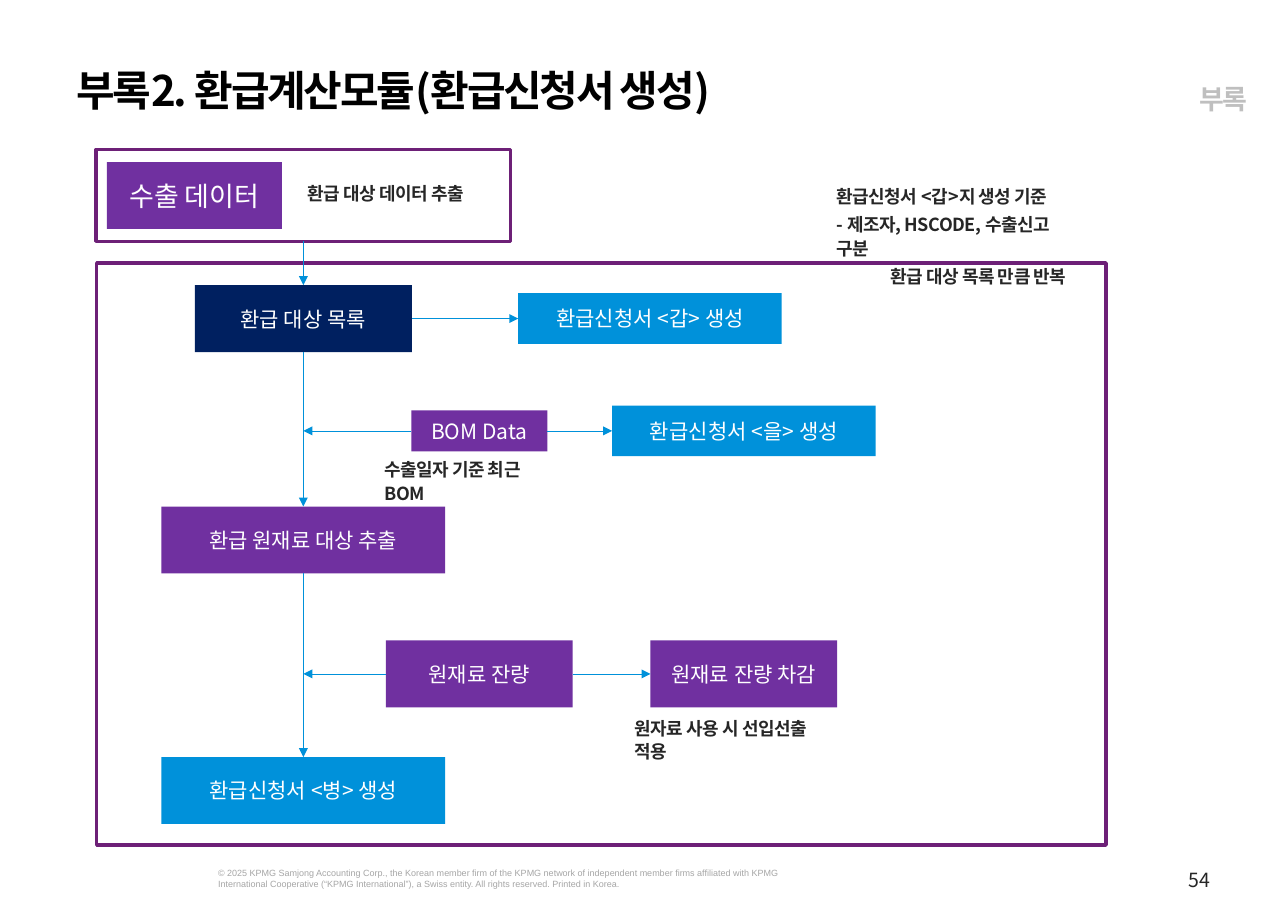
import pptx
import pptx.util
import pptx.dml.color
import pptx.enum.shapes
import pptx.enum.text
import pptx.oxml
import pptx.oxml.ns

Inches, Pt = pptx.util.Inches, pptx.util.Pt
ALIGN, ANCHOR = pptx.enum.text.PP_ALIGN, pptx.enum.text.MSO_ANCHOR
KOREAN = "Noto Sans CJK KR"
PURPLE, NAVY, BLUE, FRAME = "7030A0", "002060", "0091DA", "6D2077"
WHITE, INK = "FFFFFF", "262626"


def color(value):
    return pptx.dml.color.RGBColor.from_string(value)


def write(box, lines, size, ink, face=KOREAN, bold=False, tracking=0, align=ALIGN.LEFT,
          anchor=ANCHOR.TOP, margins=(0, 0, 0, 0), spacing=1.0, after=0):
    frame = box.text_frame
    sides = ("margin_left", "margin_top", "margin_right", "margin_bottom")
    settings = dict(zip(sides, map(Inches, margins)), word_wrap=True, vertical_anchor=anchor,
                    auto_size=pptx.enum.text.MSO_AUTO_SIZE.NONE)
    for name, value in settings.items():
        setattr(frame, name, value)
    for index, line in enumerate(lines):
        para = frame.add_paragraph() if index else frame.paragraphs[0]
        layout = {"alignment": align, "line_spacing": spacing,
                  "space_before": Pt(0), "space_after": Pt(after)}
        for name, value in layout.items():
            setattr(para, name, value)
        span = para.add_run()
        span.text = line
        for name, value in {"size": Pt(size), "bold": bold, "name": face}.items():
            setattr(span.font, name, value)
        span.font.color.rgb = color(ink)
        # East Asian typeface and letter spacing
        properties = span.font._element
        properties.set("spc", str(round(tracking * 100)))
        east_asian = pptx.oxml.parse_xml(
            f'<a:ea {pptx.oxml.ns.nsdecls("a")} typeface="{face}"/>')
        properties.find(pptx.oxml.ns.qn("a:latin")).addnext(east_asian)


deck = pptx.Presentation()
deck.slide_width, deck.slide_height = Inches(11.93), Inches(8.5)
page = deck.slides.add_slide(deck.slide_layouts[5])

# Title
title = page.shapes.title
for side, value in {"left": 0.71, "top": 0.6, "width": 10.49, "height": 0.47}.items():
    setattr(title, side, Inches(value))
write(title, ["부록2. 환급계산모듈(환급신청서 생성)"], 28, "000000",
      bold=True, tracking=-1.5, after=6)

# Rows and columns of the flow, as box centres
TRUNK = 2.81
LIST_ROW, BOM_ROW, MATERIAL_ROW, STOCK_ROW, RESULT_ROW = 2.95, 3.99, 5.0, 6.24, 7.32

# Boxes: name, label, centre x, centre y, width, height, fill, text size
boxes = [
    ("process", None, 5.57, 5.13, 9.35, 5.39, None, 0),
    ("source", None, TRUNK, 1.81, 3.84, 0.85, None, 0),
    ("export", "수출 데이터", 1.8, 1.81, 1.62, 0.62, PURPLE, 18),
    ("list", "환급 대상 목록", TRUNK, LIST_ROW, 2.01, 0.62, NAVY, 14),
    ("form_a", "환급신청서 <갑> 생성", 6.02, LIST_ROW, 2.44, 0.47, BLUE, 14),
    ("bom", "BOM Data", 4.44, BOM_ROW, 1.26, 0.38, PURPLE, 14),
    ("form_b", "환급신청서 <을> 생성", 6.89, BOM_ROW, 2.44, 0.47, BLUE, 14),
    ("material", "환급 원재료 대상 추출", TRUNK, MATERIAL_ROW, 2.63, 0.62, PURPLE, 14),
    ("stock", "원재료 잔량", 4.44, STOCK_ROW, 1.73, 0.62, PURPLE, 14),
    ("deduction", "원재료 잔량 차감", 6.89, STOCK_ROW, 1.73, 0.62, PURPLE, 14),
    ("form_c", "환급신청서 <병> 생성", TRUNK, RESULT_ROW, 2.63, 0.62, BLUE, 14),
]
shapes = {}
for name, label, x, y, width, height, fill, size in boxes:
    box = page.shapes.add_shape(
        pptx.enum.shapes.MSO_SHAPE.RECTANGLE, Inches(x - width / 2), Inches(y - height / 2),
        Inches(width), Inches(height))
    box.shadow.inherit = False
    box.fill.solid()
    box.fill.fore_color.rgb = color(fill or WHITE)
    if label:
        box.line.fill.background()
        write(box, [label], size, WHITE, align=ALIGN.CENTER, anchor=ANCHOR.MIDDLE,
              margins=(0.1, 0.05, 0.1, 0.05))
    else:
        box.line.color.rgb = color(FRAME)
        box.line.width = Pt(2.25)
    shapes[name] = box

# Arrows: start box and side, end box and side; no end box means the trunk line
TOP, LEFT, BOTTOM, RIGHT = range(4)
arrows = [
    ("source", BOTTOM, "list", TOP),
    ("list", BOTTOM, "material", TOP),
    ("material", BOTTOM, "form_c", TOP),
    ("list", RIGHT, "form_a", LEFT),
    ("bom", RIGHT, "form_b", LEFT),
    ("stock", RIGHT, "deduction", LEFT),
    ("bom", LEFT, None, None),
    ("stock", LEFT, None, None),
]
for start, start_side, end, end_side in arrows:
    origin = shapes[start]
    middle = origin.top + origin.height // 2
    arrow = page.shapes.add_connector(pptx.enum.shapes.MSO_CONNECTOR.STRAIGHT,
                                      origin.left, middle, Inches(TRUNK), middle)
    arrow.begin_connect(origin, start_side)
    if end:
        arrow.end_connect(shapes[end], end_side)
    arrow.line.color.rgb = color(BLUE)
    arrow.line.width = Pt(0.5)
    for parent, tag in ((arrow.line._get_or_add_ln(), 'tailEnd type="triangle"'),
                        (arrow._element.spPr, "effectLst")):
        name, _, attributes = tag.partition(" ")
        parent.append(pptx.oxml.parse_xml(
            f'<a:{name} {pptx.oxml.ns.nsdecls("a")} {attributes}/>'))

# Notes, section tag, copyright line and page number
note = {"size": 12, "ink": INK, "bold": True, "tracking": -0.3, "spacing": 1.1, "after": 3}
texts = [
    (2.85, 1.67, 1.46, 0.22, ["환급 대상 데이터 추출"], note),
    (8.25, 2.44, 1.66, 0.22, ["환급 대상 목록 만큼 반복"], note),
    (7.75, 1.7, 2.18, 0.49,
     ["환급신청서 <갑>지 생성 기준", "- 제조자, HSCODE, 수출신고 구분"], note),
    (3.56, 4.23, 1.59, 0.22, ["수출일자 기준 최근 BOM"], note),
    (5.88, 6.62, 1.9, 0.22, ["원자료 사용 시 선입선출 적용"], note),
    (9.76, 0.76, 1.79, 0.3, ["부록"],
     {"size": 18, "ink": "BFBFBF", "bold": True, "tracking": -1.5, "align": ALIGN.RIGHT}),
    (2.02, 8.03, 5.56, 0.41,
     ["© 2025 KPMG Samjong Accounting Corp., the Korean member firm of the KPMG network of "
      "independent member firms affiliated with KPMG International Cooperative (“KPMG "
      "International”), a Swiss entity. All rights reserved. Printed in Korea."],
     {"size": 6, "ink": "A6A6A6", "face": "Arial"}),
    (9.21, 7.92, 2, 0.45, ["54"],
     {"size": 13, "ink": INK, "align": ALIGN.RIGHT, "anchor": ANCHOR.MIDDLE,
      "margins": (0.1, 0.05, 0, 0.05)}),
]
for left, top, width, height, lines, style in texts:
    box = page.shapes.add_textbox(*map(Inches, (left, top, width, height)))
    write(box, lines, **style)

deck.save("out.pptx")
